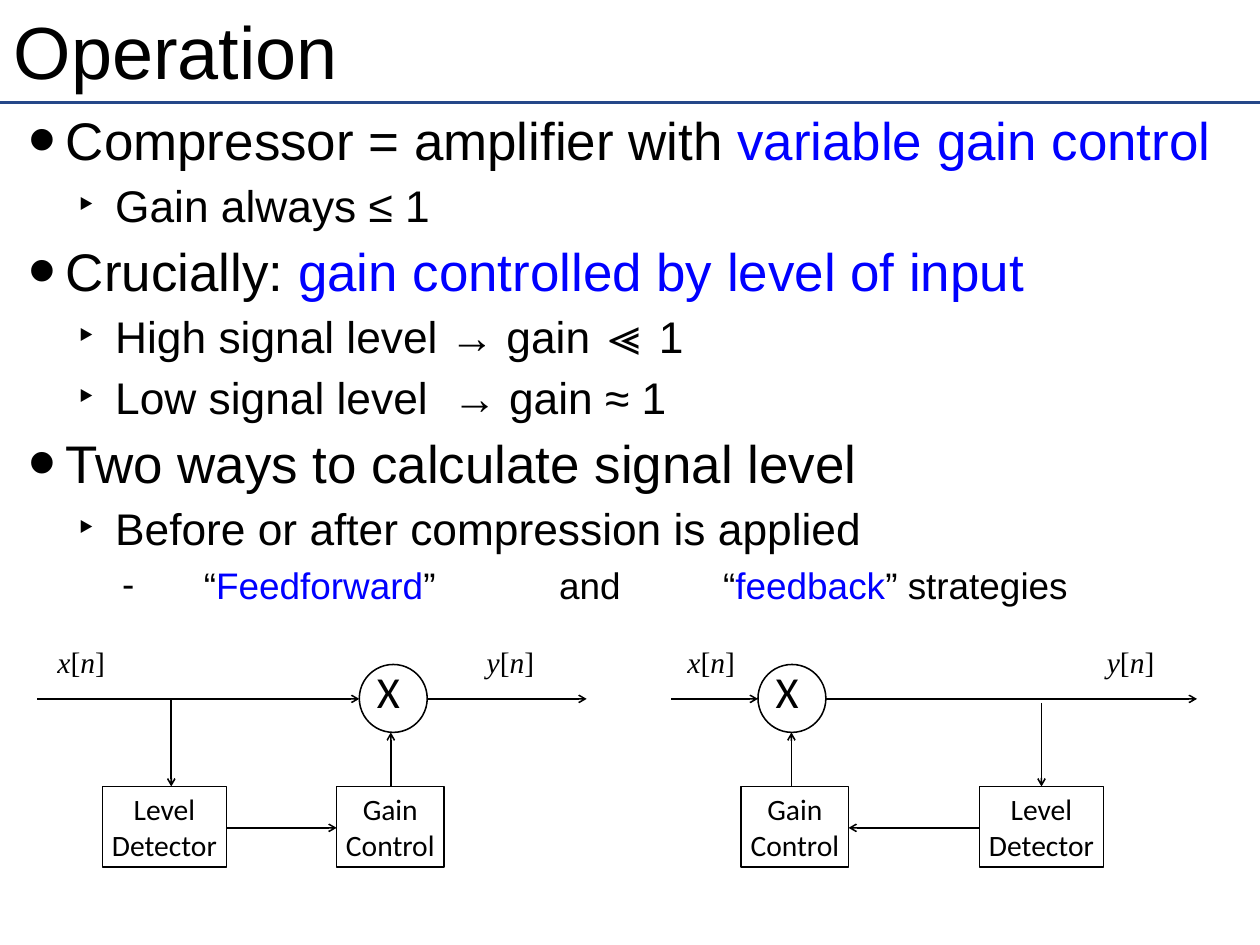
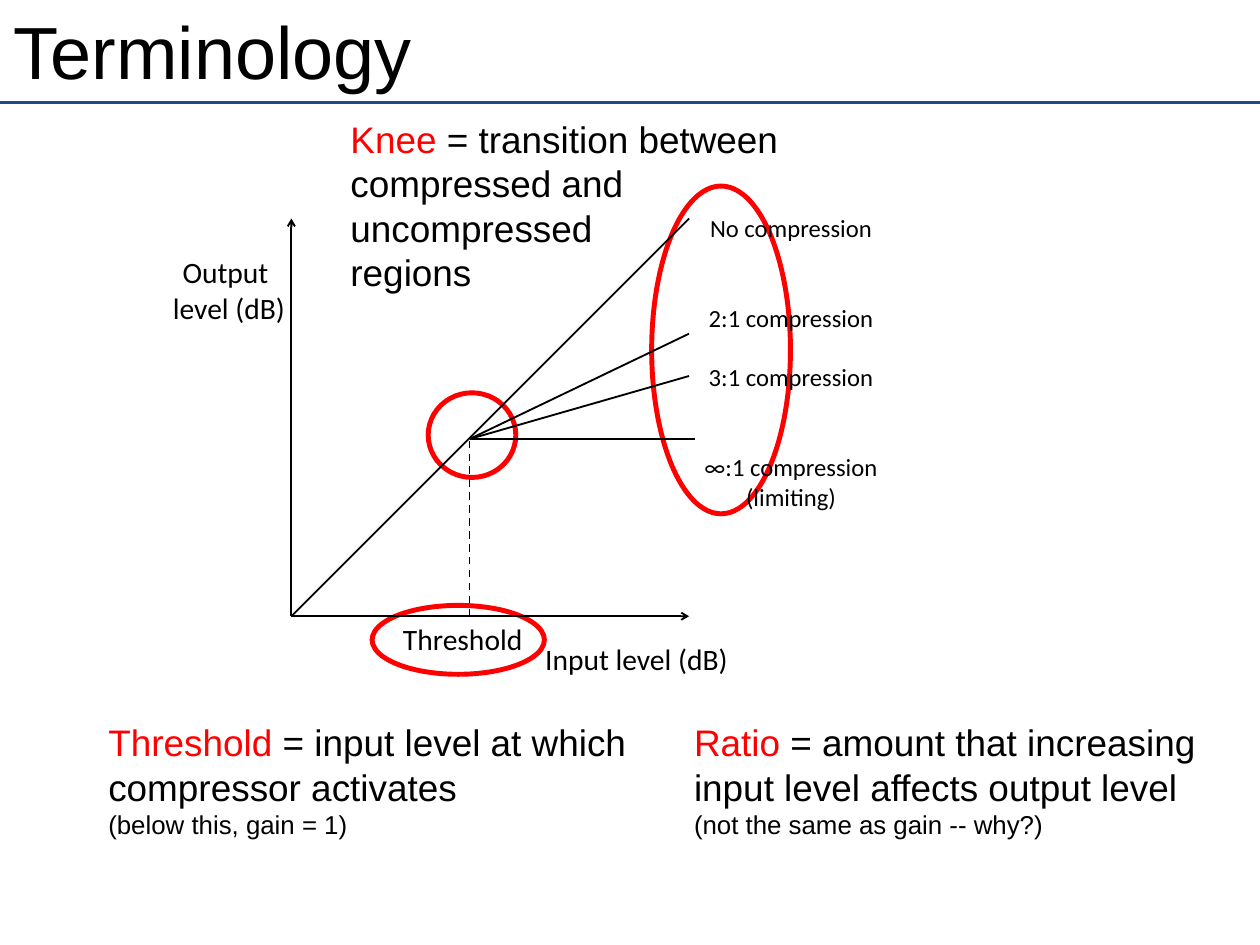
from dataclasses import dataclass
from typing import NamedTuple, Optional

from pptx import Presentation
from pptx.dml.color import RGBColor
from pptx.enum.dml import MSO_LINE_DASH_STYLE as Dash
from pptx.enum.shapes import MSO_CONNECTOR as Connector, MSO_SHAPE as Preset
from pptx.enum.text import MSO_ANCHOR as Anchor, MSO_AUTO_SIZE as AutoSize, PP_ALIGN as Align
from pptx.oxml import parse_xml
from pptx.oxml.ns import nsdecls, qn
from pptx.util import Emu, Pt

# Palette, fonts and scale
BLACK = RGBColor(0x00, 0x00, 0x00)
BLUE = RGBColor(0x00, 0x00, 0xFF)
RED = RGBColor(0xFF, 0x00, 0x00)
NAVY = RGBColor(0x25, 0x47, 0x89)
SANS, LABEL_FONT, MATH_FONT = "Arial", "Calibri", "Times New Roman"
SLIDE_W, SLIDE_H = 1280, 960
EMU_PER_PX = 10160


class Box(NamedTuple):
    x: int
    y: int
    w: int
    h: int


class Point(NamedTuple):
    x: int
    y: int


class Span(NamedTuple):
    text: str
    color: Optional[RGBColor] = None
    italic: bool = False
    spacing: float = 0  # extra points after each letter


class Line(NamedTuple):
    spans: list[Span]
    size: int
    before: int = 0


class Bullet(NamedTuple):
    level: int
    spans: list[Span]


class BulletStyle(NamedTuple):
    char: str
    percent: int
    margin: int
    hang: int
    size: int


@dataclass(frozen=True)
class Wire:
    start: Point
    end: Point
    arrow: bool = True
    dashed: bool = False


@dataclass(frozen=True)
class Scheme:
    """One compressor block diagram."""
    multiplier_x: int
    gain_x: int
    level_x: int
    input_x: int
    output_x: int
    wires: list[Wire]


@dataclass(frozen=True)
class Definition:
    box: Box
    term: str
    lines: list[str]
    remark: str = ""


BULLETS = [
    BulletStyle("•", 150, 62, 38, 43),
    BulletStyle("‣", 100, 112, 38, 36),
    BulletStyle("-", 100, 202, 83, 30),
]


def px(length: int) -> Emu:
    return Emu(length * EMU_PER_PX)


def frame(box: Box) -> list[Emu]:
    return [px(side) for side in box]


# Drawing helpers
def add_spans(paragraph, spans: list[Span]) -> None:
    for span in spans:
        run = paragraph.add_run()
        run.text = span.text
        if span.color is not None:
            run.font.color.rgb = span.color
        if span.italic:
            run.font.italic = True
        if span.spacing:
            run._r.get_or_add_rPr().set("spc", str(int(span.spacing * 100)))


def write_lines(text_frame, lines: list[Line], font: str, align: Align) -> None:
    for index, line in enumerate(lines):
        paragraph = text_frame.paragraphs[0] if index == 0 else text_frame.add_paragraph()
        paragraph.alignment = align
        paragraph.space_before = Pt(line.before)
        add_spans(paragraph, line.spans)
        for run, span in zip(paragraph.runs, line.spans):
            run.font.name, run.font.size = font, Pt(line.size)
            run.font.color.rgb = span.color or BLACK


def add_label(slide, box: Box, lines: list[Line], font: str = LABEL_FONT) -> None:
    text_frame = slide.shapes.add_textbox(*frame(box)).text_frame
    text_frame.word_wrap = False
    text_frame.auto_size = AutoSize.SHAPE_TO_FIT_TEXT
    write_lines(text_frame, lines, font, Align.CENTER)


def add_outline(slide, preset: Preset, box: Box, color: RGBColor, width: float):
    shape = slide.shapes.add_shape(preset, *frame(box))
    shape.shadow.inherit = False
    shape.fill.background()
    shape.line.color.rgb, shape.line.width = color, Pt(width)
    return shape


def add_wire(slide, wire: Wire, width: float, color: RGBColor = BLACK):
    connector = slide.shapes.add_connector(
        Connector.STRAIGHT, *map(px, wire.start), *map(px, wire.end))
    connector.line.color.rgb, connector.line.width = color, Pt(width)
    if wire.dashed:
        connector.line.dash_style = Dash.DASH
    properties = connector.element.spPr
    if wire.arrow:
        properties.find(qn("a:ln")).append(
            parse_xml(f'<a:tailEnd {nsdecls("a")} type="arrow"/>'))
    properties.append(parse_xml(f'<a:effectLst {nsdecls("a")}/>'))
    return connector


# Shared master: title style, bullet levels and the rule below the title
def replace_level(style, level: int, attributes: str, paragraph: str, size: int) -> None:
    tag = f"a:lvl{level}pPr"
    style.replace(style.find(qn(tag)), parse_xml(
        f'<{tag} {nsdecls("a")} algn="l" {attributes}>{paragraph}'
        f'<a:defRPr sz="{size * 100}"><a:solidFill><a:srgbClr val="{BLACK}"/></a:solidFill>'
        f'<a:latin typeface="{SANS}"/></a:defRPr></{tag}>'))


def format_master(prs) -> None:
    master = prs.slide_master
    boxes = {0: Box(9, 5, 1261, 91), 1: Box(0, 104, SLIDE_W, 856)}
    for placeholder, box in zip(list(master.placeholders)[:2], boxes.values()):
        placeholder.left, placeholder.top, placeholder.width, placeholder.height = frame(box)
        text_frame = placeholder.text_frame
        text_frame.auto_size = AutoSize.NONE
        text_frame.margin_left = text_frame.margin_right = px(5)
        text_frame.margin_top = text_frame.margin_bottom = px(5)
    styles = master.element.find(qn("p:txStyles"))
    replace_level(styles.find(qn("p:titleStyle")), 1, "", "<a:buNone/>", 60)
    for level, bullet in enumerate(BULLETS, start=1):
        replace_level(
            styles.find(qn("p:bodyStyle")), level,
            f'marL="{px(bullet.margin)}" indent="{-px(bullet.hang)}"',
            '<a:spcBef><a:spcPts val="600"/></a:spcBef>'
            f'<a:buClr><a:srgbClr val="{BLACK}"/></a:buClr>'
            f'<a:buSzPct val="{bullet.percent * 1000}"/>'
            f'<a:buFont typeface="{SANS}"/><a:buChar char="{bullet.char}"/>',
            bullet.size)


def move_to_master(prs, rule) -> None:
    rule.element.xpath("./p:nvCxnSpPr/p:cNvPr")[0].set("id", "20")
    prs.slide_master.shapes.element.append(rule.element)


def add_titled_slide(prs, layout_index: int, title: str):
    slide = prs.slides.add_slide(prs.slide_layouts[layout_index])
    add_spans(slide.shapes.title.text_frame.paragraphs[0], [Span(title)])
    return slide


# Operation: bullets and two block diagrams
OPERATION_POINTS = [
    Bullet(0, [Span("Compressor = amplifier with "), Span("variable gain control", BLUE)]),
    Bullet(1, [Span("Gain always ≤ 1")]),
    Bullet(0, [Span("Crucially: "), Span("gain controlled by level of input", BLUE)]),
    Bullet(1, [Span("High signal level → gain ≪ 1")]),
    Bullet(1, [Span("Low signal level"), Span(" ", spacing=10), Span("→ gain ≈ 1")]),
    Bullet(0, [Span("Two ways to calculate signal level")]),
    Bullet(1, [Span("Before or after compression is applied")]),
    Bullet(2, [Span("“"), Span("Feedforward", BLUE), Span("”"), Span(" ", spacing=92),
               Span("and"), Span(" ", spacing=75), Span("“"), Span("feedback", BLUE),
               Span("” strategies")]),
]
SIGNAL_Y, BLOCK_Y, BLOCK_H, LINK_Y, MULTIPLIER_BOTTOM = 710, 799, 82, 841, 744
FEEDFORWARD = Scheme(365, 342, 104, 49, 485, [
    Wire(Point(38, SIGNAL_Y), Point(365, SIGNAL_Y)),
    Wire(Point(435, SIGNAL_Y), Point(596, SIGNAL_Y)),
    Wire(Point(174, SIGNAL_Y), Point(174, BLOCK_Y)),
    Wire(Point(230, LINK_Y), Point(342, LINK_Y)),
    Wire(Point(397, BLOCK_Y), Point(397, MULTIPLIER_BOTTOM)),
])
FEEDBACK = Scheme(770, 753, 995, 689, 1115, [
    Wire(Point(682, SIGNAL_Y), Point(770, SIGNAL_Y)),
    Wire(Point(839, SIGNAL_Y), Point(1216, SIGNAL_Y)),
    Wire(Point(1058, 714), Point(1058, BLOCK_Y)),
    Wire(Point(995, LINK_Y), Point(862, LINK_Y)),
    Wire(Point(804, BLOCK_Y), Point(804, MULTIPLIER_BOTTOM)),
])


def draw_scheme(slide, scheme: Scheme) -> None:
    add_outline(slide, Preset.OVAL, Box(scheme.multiplier_x, 675, 69, 69), BLACK, 1.25)
    add_label(slide, Box(scheme.multiplier_x + 9, 670, 41, 64), [Line([Span("X")], 36)])
    for wire in scheme.wires:
        add_wire(slide, wire, 1.25)
    for x, width, words in ((scheme.level_x, 126, ("Level", "Detector")),
                            (scheme.gain_x, 109, ("Gain", "Control"))):
        block = add_outline(slide, Preset.RECTANGLE, Box(x, BLOCK_Y, width, BLOCK_H), BLACK, 1.25)
        block.text_frame.word_wrap = False
        write_lines(block.text_frame, [Line([Span(word)], 24) for word in words],
                    LABEL_FONT, Align.CENTER)
    for x, signal in ((scheme.input_x, "x"), (scheme.output_x, "y")):
        spans = [Span(signal, italic=True), Span("["), Span("n", italic=True), Span("]")]
        add_label(slide, Box(x, 650, 67, 45), [Line(spans, 24)], MATH_FONT)


def build_operation(prs) -> None:
    slide = add_titled_slide(prs, 1, "Operation")
    move_to_master(prs, add_wire(
        slide, Wire(Point(0, 104), Point(SLIDE_W, 104), arrow=False), 3, NAVY))
    body = slide.placeholders[1].text_frame
    for index, point in enumerate(OPERATION_POINTS):
        paragraph = body.paragraphs[0] if index == 0 else body.add_paragraph()
        paragraph.level = point.level
        add_spans(paragraph, point.spans)
    for scheme in (FEEDBACK, FEEDFORWARD):
        draw_scheme(slide, scheme)


# Terminology: definitions around the compression curve
DEFINITIONS = [
    Definition(Box(110, 729, 544, 126), "Threshold ",
               ["= input level at which", "compressor activates"], "(below this, gain = 1)"),
    Definition(Box(356, 119, 544, 179), "Knee ",
               ["= transition between", "compressed and", "uncompressed", "regions"]),
    Definition(Box(705, 729, 544, 126), "Ratio ",
               ["= amount that increasing", "input level affects output level"],
               "(not the same as gain -- why?)"),
]
HIGHLIGHTS = [Box(378, 615, 175, 70), Box(662, 189, 141, 333), Box(435, 399, 89, 86)]
ORIGIN, KNEE = Point(296, 626), Point(477, 446)
CURVES = [
    Wire(ORIGIN, Point(700, ORIGIN.y)),
    Wire(ORIGIN, Point(ORIGIN.x, 222)),
    Wire(ORIGIN, Point(700, 222), arrow=False),
    *[Wire(KNEE, end, arrow=False) for end in (Point(706, KNEE.y), Point(700, 339), Point(700, 382))],
    Wire(Point(KNEE.x, ORIGIN.y), KNEE, arrow=False, dashed=True),
]
RATIO_LABELS = [("No compression", 0), ("2:1 compression", 49), ("3:1 compression", 24),
                ("∞:1 compression", 49), ("(limiting)", 0)]
AXIS_LABELS = [
    (Box(544, 647, 205, 45), ["Input level (dB)"]),
    (Box(166, 254, 133, 82), ["Output ", "level (dB)"]),
    (Box(400, 626, 140, 45), ["Threshold"]),
]


def add_definition(slide, item: Definition) -> None:
    text_frame = slide.shapes.add_textbox(*frame(item.box)).text_frame
    text_frame.word_wrap, text_frame.vertical_anchor = True, Anchor.MIDDLE
    text_frame.margin_left = text_frame.margin_right = 0
    text_frame.margin_top = text_frame.margin_bottom = 0
    lines = [Line([Span(item.term, RED), Span(item.lines[0])], 30)]
    lines += [Line([Span(text)], 30) for text in item.lines[1:]]
    if item.remark:
        lines.append(Line([Span(item.remark)], 21))
    write_lines(text_frame, lines, SANS, Align.LEFT)


def build_terminology(prs) -> None:
    slide = add_titled_slide(prs, 5, "Terminology")
    for item in DEFINITIONS:
        add_definition(slide, item)
    for box in HIGHLIGHTS:
        add_outline(slide, Preset.OVAL, box, RED, 4)
    for curve in CURVES:
        add_wire(slide, curve, 1.5)
    add_label(slide, Box(706, 212, 195, 312),
              [Line([Span(text)], 20, before) for text, before in RATIO_LABELS])
    for box, texts in AXIS_LABELS:
        add_label(slide, box, [Line([Span(text)], 24) for text in texts])


def main() -> None:
    prs = Presentation()
    prs.slide_width, prs.slide_height = px(SLIDE_W), px(SLIDE_H)
    format_master(prs)
    build_operation(prs)
    build_terminology(prs)
    prs.save("out.pptx")


if __name__ == "__main__":
    main()
